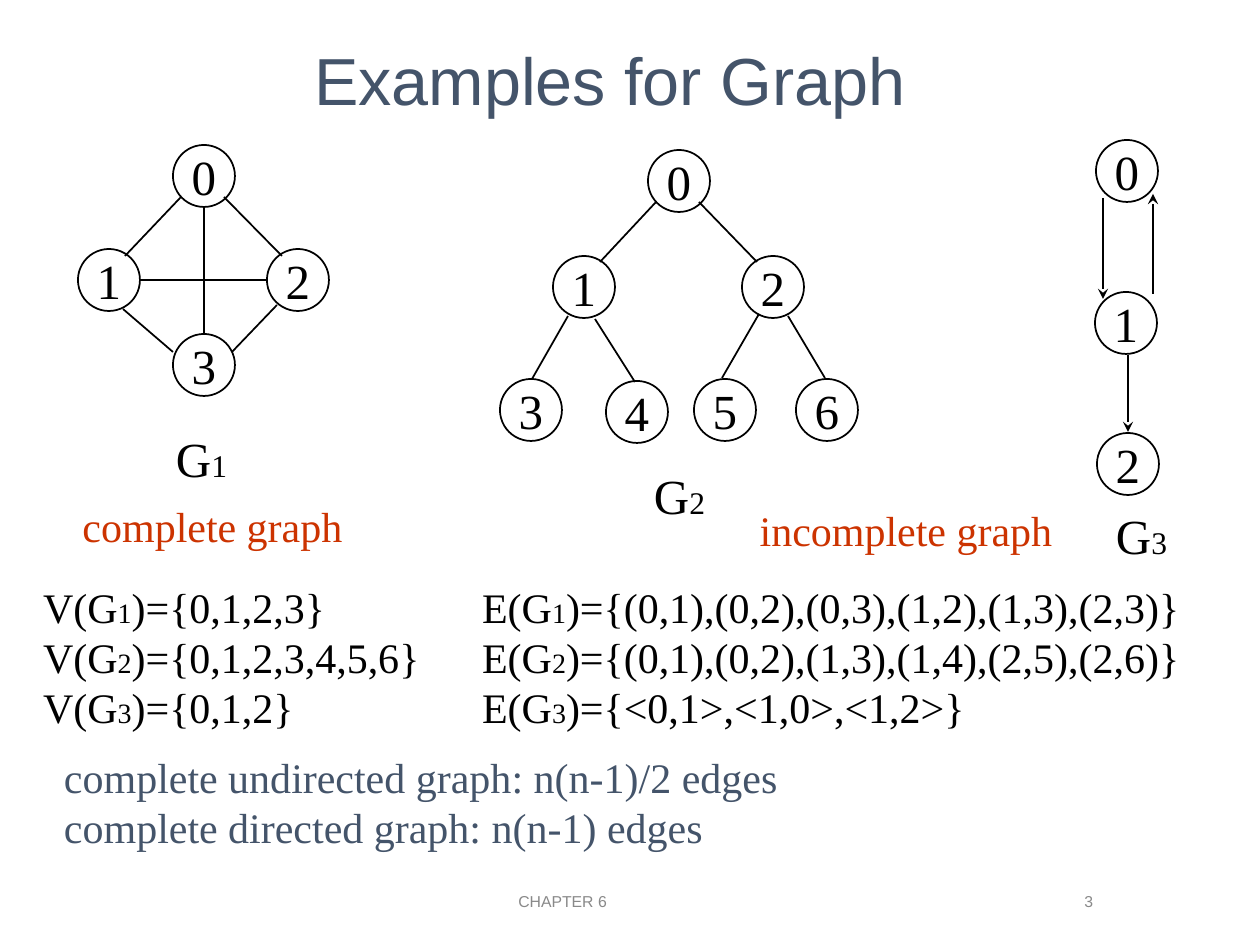
from dataclasses import dataclass

from lxml import etree
from pptx import Presentation
from pptx import util as u
from pptx.dml.color import RGBColor
from pptx.enum import shapes, text
from pptx.oxml import ns

PX_PER_INCH = 126
NODE_SIZE = 62
INSET = 13
LEFT, CENTER, RIGHT = text.PP_ALIGN.LEFT, text.PP_ALIGN.CENTER, text.PP_ALIGN.RIGHT
TOP, MIDDLE = text.MSO_ANCHOR.TOP, text.MSO_ANCHOR.MIDDLE


@dataclass(frozen=True)
class Theme:
    ink: str = "000000"
    paper: str = "FFFFFF"
    slate: str = "44546A"
    accent: str = "CC3300"
    gray: str = "898989"
    sans: str = "Arial"
    serif: str = "Times New Roman"
    title: int = 38
    node: int = 28
    node_sub: int = 18
    body: int = 24
    body_sub: int = 16
    footer: int = 9
    line: int = 1


THEME = Theme()


@dataclass(frozen=True)
class Graph:
    nodes: list[tuple[int, int]]  # left and top; the index is the node's number
    edges: list[tuple[int, int, int, int]]  # from x, y to x, y
    directed: bool = False


@dataclass(frozen=True)
class Label:
    box: tuple[int, int, int, int]
    lines: list[list[str]]  # in a line, every second piece is a subscript
    size: int = THEME.body
    small: int = THEME.body_sub
    color: str = THEME.ink
    font: str = THEME.serif
    align: text.PP_ALIGN = LEFT
    anchor: text.MSO_ANCHOR = TOP
    tab: int = 0


def px(value: int) -> u.Emu:
    return u.Emu(round(value * 914400 / PX_PER_INCH))


def add_run(paragraph, words: str, size: int, font: str, color: str) -> None:
    run = paragraph.add_run()
    run.text = words
    run.font.size = u.Pt(size)
    run.font.name = font
    run.font.color.rgb = RGBColor.from_string(color)


def add_tab_stop(paragraph, position: int) -> None:
    properties = paragraph._p.get_or_add_pPr()
    tabs = etree.SubElement(properties, ns.qn("a:tabLst"))
    etree.SubElement(tabs, ns.qn("a:tab"), pos=str(px(position)), algn="l")


def draw_label(slide, label: Label) -> None:
    shape = slide.shapes.add_textbox(*map(px, label.box))
    frame = shape.text_frame
    frame.word_wrap = True
    frame.vertical_anchor = label.anchor
    frame.margin_left = px(INSET if label.align == LEFT else 0)
    frame.margin_right = px(INSET if label.align == RIGHT else 0)
    for index, pieces in enumerate(label.lines):
        paragraph = frame.add_paragraph() if index else frame.paragraphs[0]
        paragraph.alignment = label.align
        if label.tab:
            add_tab_stop(paragraph, label.tab)
        for place, words in enumerate(pieces):
            size = label.small if place % 2 else label.size
            add_run(paragraph, words, size, label.font, label.color)


def draw_node(slide, number: int, left: int, top: int) -> None:
    shape = slide.shapes.add_shape(
        shapes.MSO_SHAPE.OVAL, px(left), px(top), px(NODE_SIZE), px(NODE_SIZE))
    shape.shadow.inherit = False
    shape.fill.solid()
    shape.fill.fore_color.rgb = RGBColor.from_string(THEME.paper)
    shape.line.color.rgb = RGBColor.from_string(THEME.ink)
    shape.line.width = u.Pt(THEME.line)
    frame = shape.text_frame
    frame.word_wrap = False
    frame.vertical_anchor = MIDDLE
    paragraph = frame.paragraphs[0]
    paragraph.alignment = CENTER
    add_run(paragraph, str(number), THEME.node, THEME.serif, THEME.ink)


def draw_edge(slide, ends: tuple[int, int, int, int], directed: bool) -> None:
    edge = slide.shapes.add_connector(shapes.MSO_CONNECTOR.STRAIGHT, *map(px, ends))
    edge.line.color.rgb = RGBColor.from_string(THEME.ink)
    edge.line.width = u.Pt(THEME.line)
    if directed:
        etree.SubElement(edge.line._get_or_add_ln(), ns.qn("a:tailEnd"), type="stealth")
    etree.SubElement(edge._element.spPr, ns.qn("a:effectLst"))


def draw_graph(slide, graph: Graph) -> None:
    for number, (left, top) in enumerate(graph.nodes):
        draw_node(slide, number, left, top)
    for ends in graph.edges:
        draw_edge(slide, ends, graph.directed)


GRAPHS = [
    Graph([(173, 145), (78, 249), (267, 249), (173, 334)],
          [(204, 207, 204, 333), (141, 280, 267, 280), (181, 197, 125, 256),
           (224, 197, 282, 256), (123, 309, 173, 352), (277, 305, 232, 352)]),
    Graph([(1096, 140), (1095, 292), (1097, 433)],
          [(1128, 355, 1128, 432), (1153, 294, 1153, 194), (1103, 198, 1103, 299)],
          directed=True),
    Graph([(648, 150), (553, 256), (742, 256), (500, 379), (606, 381), (694, 379),
           (796, 379)],
          [(656, 202, 600, 262), (699, 202, 757, 262), (568, 316, 532, 379),
           (595, 319, 635, 382), (759, 314, 722, 378), (788, 316, 825, 378)]),
]

# Vertex set and edge set of each graph
SETS = [
    ("{0,1,2,3}", "{(0,1),(0,2),(0,3),(1,2),(1,3),(2,3)}"),
    ("{0,1,2,3,4,5,6}", "{(0,1),(0,2),(1,3),(1,4),(2,5),(2,6)}"),
    ("{0,1,2}", "{<0,1>,<1,0>,<1,2>}"),
]
SET_LINES = [
    ["V(G", str(number), f")={vertices}\tE(G", str(number), f")={edges}"]
    for number, (vertices, edges) in enumerate(SETS, start=1)
]

FOOTER = dict(size=THEME.footer, color=THEME.gray, font=THEME.sans, anchor=MIDDLE)
REMARK = dict(color=THEME.accent, align=CENTER, anchor=MIDDLE)
GRAPH_NAME_PLACES = [(163, 422), (641, 459), (1103, 499)]

LABELS = [
    # Footer and title
    Label((350, 876, 425, 50), [["CHAPTER 6"]], align=CENTER, **FOOTER),
    Label((823, 876, 283, 50), [["3"]], align=RIGHT, **FOOTER),
    Label((28, 0, 1164, 158), [["Examples for Graph"]], size=THEME.title,
          color=THEME.slate, font=THEME.sans, align=CENTER, anchor=MIDDLE),
    # Graph names
    *(Label((left, top, 77, 72), [["G", str(number)]], THEME.node, THEME.node_sub)
      for number, (left, top) in enumerate(GRAPH_NAME_PLACES, start=1)),
    # Sets, edge counts and remarks
    Label((30, 575, 1163, 164), SET_LINES, tab=439),
    Label((51, 745, 738, 113),
          [["complete undirected graph: n(n-1)/2 edges"],
           ["complete directed graph: n(n-1) edges"]],
          color=THEME.slate, anchor=MIDDLE),
    Label((70, 494, 285, 63), [["complete graph"]], **REMARK),
    Label((747, 498, 318, 63), [["incomplete graph"]], **REMARK),
]


def main() -> None:
    presentation = Presentation()
    presentation.slide_width, presentation.slide_height = px(1260), px(945)
    slide = presentation.slides.add_slide(presentation.slide_layouts[6])
    for graph in GRAPHS:
        draw_graph(slide, graph)
    for label in LABELS:
        draw_label(slide, label)
    presentation.save("out.pptx")


if __name__ == "__main__":
    main()
